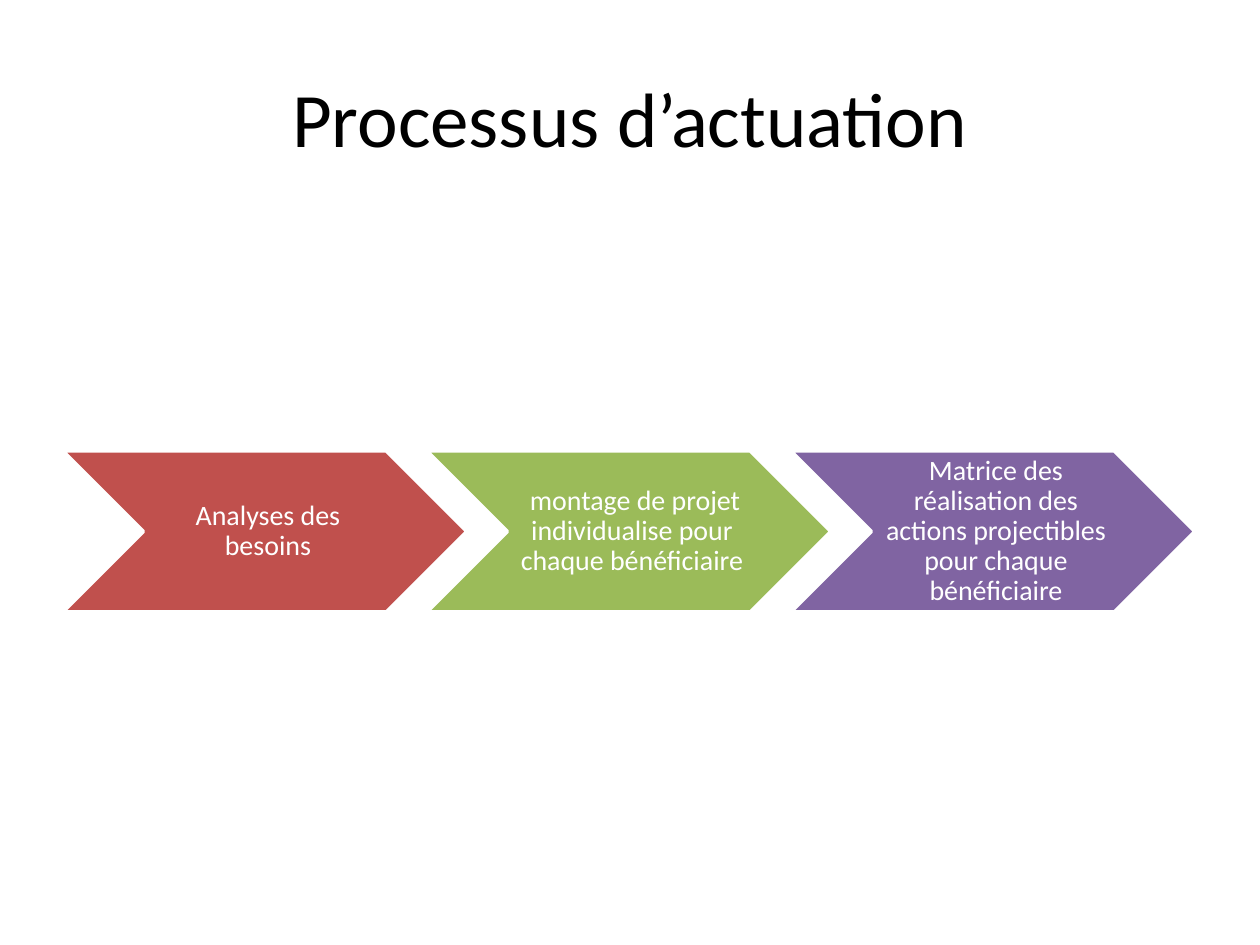
import dataclasses

import pptx
import pptx.dml.color
import pptx.enum.shapes
import pptx.enum.text
import pptx.util

RGB = pptx.dml.color.RGBColor
BLACK = RGB(0x00, 0x00, 0x00)
WHITE = RGB(0xFF, 0xFF, 0xFF)
RED = RGB(0xC0, 0x50, 0x4D)
GREEN = RGB(0x9B, 0xBB, 0x59)
PURPLE = RGB(0x80, 0x64, 0xA2)

FONT = "Calibri"
SCALE = 914400 / 126
LEFT, TOP, WIDTH, HEIGHT, PITCH = 63, 451, 404, 161, 364


@dataclasses.dataclass(frozen=True)
class Step:
    text: str
    fill: RGB


STEPS = (
    Step("Analyses des besoins", RED),
    Step(" montage de projet individualise pour chaque bénéficiaire", GREEN),
    Step("Matrice des réalisation des actions projectibles pour chaque bénéficiaire", PURPLE),
)


def px(count: int) -> int:
    return round(count * SCALE)


def write(frame, text: str, size: int, color: RGB):
    frame.text = text
    frame.word_wrap = True
    frame.vertical_anchor = pptx.enum.text.MSO_ANCHOR.MIDDLE
    para = frame.paragraphs[0]
    para.alignment = pptx.enum.text.PP_ALIGN.CENTER
    font = para.runs[0].font
    font.name, font.size = FONT, pptx.util.Pt(size)
    font.color.rgb = color
    return para


def draw_title(slide, text: str) -> None:
    title = slide.shapes.title
    title.left, title.top = px(63), px(38)
    title.width, title.height = px(1134), px(157)
    write(title.text_frame, text, 44, BLACK)


def draw_step(slide, step: Step, left: int) -> None:
    shape = slide.shapes.add_shape(
        pptx.enum.shapes.MSO_SHAPE.CHEVRON, px(left), px(TOP), px(WIDTH), px(HEIGHT)
    )
    shape.shadow.inherit = False
    shape.fill.solid()
    shape.fill.fore_color.rgb = step.fill
    shape.line.color.rgb = WHITE
    shape.line.width = pptx.util.Pt(2)
    frame = shape.text_frame
    frame.margin_left = px(9)
    frame.margin_top = frame.margin_right = frame.margin_bottom = px(3)
    write(frame, step.text, 16, WHITE).line_spacing = 0.9


def main() -> None:
    """Build the slide with the three-step process."""
    deck = pptx.Presentation()
    deck.slide_width, deck.slide_height = px(1260), px(945)
    slide = deck.slides.add_slide(deck.slide_layouts[5])
    draw_title(slide, "Processus d’actuation")
    for index, step in enumerate(STEPS):
        draw_step(slide, step, LEFT + index * PITCH)
    deck.save("out.pptx")


if __name__ == "__main__":
    main()
